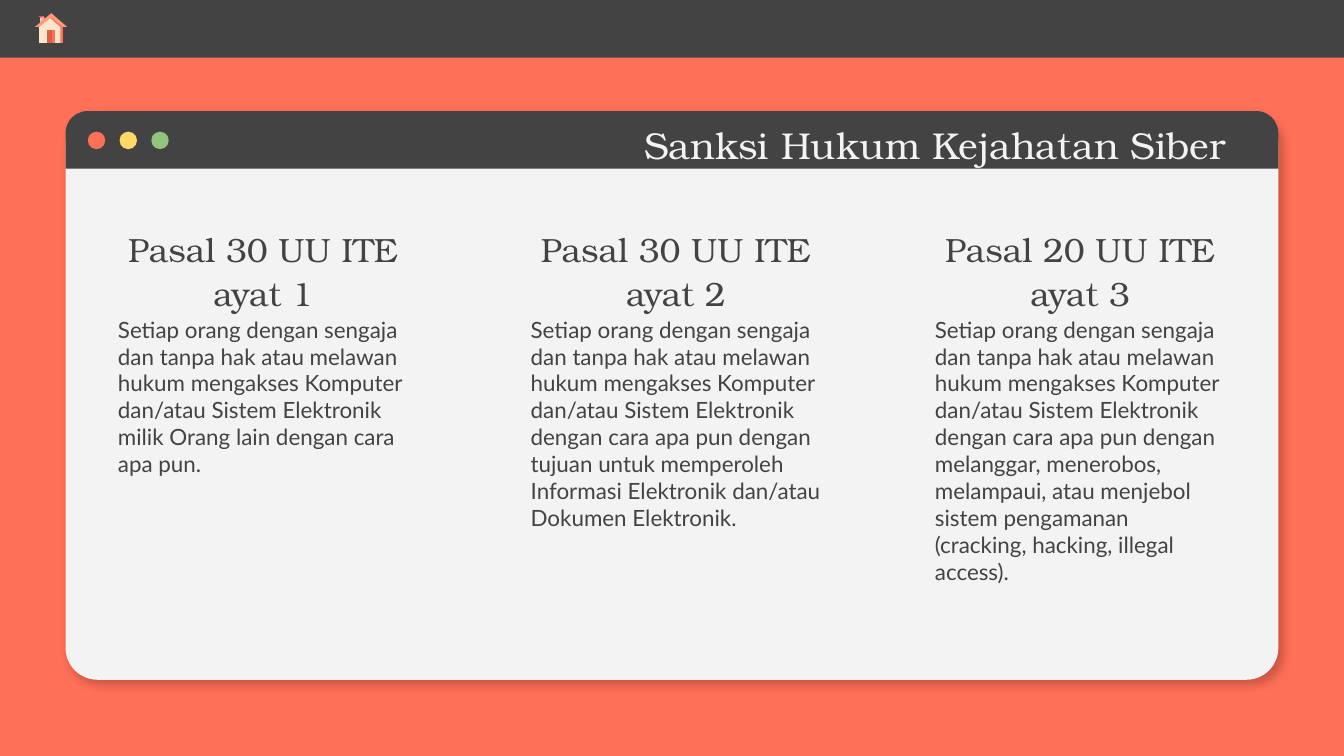
from lxml.etree import SubElement
from pptx import Presentation
from pptx.dml.color import RGBColor
from pptx.enum.shapes import MSO_SHAPE as Shape
from pptx.enum.text import MSO_ANCHOR as Anchor, PP_ALIGN as Align
from pptx.oxml.ns import qn
from pptx.util import Cm, Pt

CORAL, DARK, LIGHT = "FF7058", "434343", "F3F3F3"
SERIF, SANS = "TeX Gyre Bonum", "Lato"
WIDTH, HEIGHT = 25.4, 14.29

TITLE = "Sanksi Hukum Kejahatan Siber"
OPENING = ("Setiap orang dengan sengaja dan tanpa hak atau melawan hukum "
           "mengakses Komputer dan/atau Sistem Elektronik ")
# left, body height, space after body, heading, rest of body
COLUMNS = [
    (1.98, 6.32, 16, "Pasal 30 UU ITE ayat 1",
     "milik Orang lain dengan cara apa pun."),
    (9.78, 2.16, 16, "Pasal 30 UU ITE ayat 2",
     "dengan cara apa pun dengan tujuan untuk memperoleh Informasi "
     "Elektronik dan/atau Dokumen Elektronik."),
    (17.42, 2.16, 3, "Pasal 20 UU ITE ayat 3",
     "dengan cara apa pun dengan melanggar, menerobos, melampaui, atau "
     "menjebol sistem pengamanan (cracking, hacking, illegal access)."),
]
COLUMN_WIDTH, HEADING_TOP, BODY_TOP = 5.99, 4.55, 5.72

WINDOW_LEFT, WINDOW_TOP, WINDOW_WIDTH = 1.24, 2.1, 22.92
DOT_COLORS = [CORAL, "FFD966", "93C47D"]
DOT_LEFT, DOT_TOP, DOT_SIZE, DOT_STEP = 1.66, 2.49, 0.33, 0.6


def box(left, top, right, bottom):
    return [(left, top), (right, top), (right, bottom), (left, bottom)]


# Home icon outlines, in hundredths of a centimetre
HOME_ICON = [
    ("F6C5BE", [(76, 33), (76, 43), (84, 36), (84, 33)]),
    ("F9ABA0", [(79, 33), (79, 41), (84, 36), (84, 33)]),
    ("FCE5CD", [(97, 30), (74, 51), (74, 81), (119, 81), (119, 51)]),
    (CORAL, [(97, 30), (94, 33), (114, 51), (114, 81), (119, 81), (119, 51)]),
    ("E55A43", box(74, 30, 84, 33)),
    ("E55A43", box(89, 56, 104, 81)),
    (CORAL, box(99, 56, 104, 81)),
    ("FF9A75", [(97, 25), (66, 51), (74, 51), (97, 33), (119, 51), (127, 51)]),
    (CORAL, box(81, 30, 84, 33)),
]


def paint(shape, color):
    shape.shadow.inherit = False
    shape.fill.solid()
    shape.fill.fore_color.rgb = RGBColor.from_string(color)
    shape.line.fill.background()


def add_shape(shapes, kind, color, left, top, width, height, corners=()):
    shape = shapes.add_shape(kind, Cm(left), Cm(top), Cm(width), Cm(height))
    paint(shape, color)
    for index, corner in enumerate(corners):
        shape.adjustments[index] = corner
    return shape


def add_drop_shadow(shape, color):
    effects = shape.element.spPr.find(qn("a:effectLst"))
    shadow = SubElement(effects, qn("a:outerShdw"), blurRad=str(Pt(4.5)),
                        dist=str(Pt(3.8)), dir=str(49 * 60000),
                        algn="bl", rotWithShape="0")
    tint = SubElement(shadow, qn("a:srgbClr"), val=color)
    SubElement(tint, qn("a:alpha"), val="47000")


def add_text(shapes, text, left, top, width, height, font, size, color,
             align=Align.LEFT, anchor=Anchor.TOP, line_spacing=1.0,
             space_after=0, bottom_inset=0.25):
    frame = shapes.add_textbox(Cm(left), Cm(top), Cm(width), Cm(height)).text_frame
    frame.word_wrap = True
    frame.vertical_anchor = anchor
    frame.margin_left = frame.margin_right = frame.margin_top = Cm(0.25)
    frame.margin_bottom = Cm(bottom_inset)
    frame.text = text
    paragraph = frame.paragraphs[0]
    paragraph.alignment = align
    paragraph.line_spacing = line_spacing
    paragraph.space_after = Pt(space_after)
    run_font = paragraph.runs[0].font
    run_font.name, run_font.size = font, Pt(size)
    run_font.color.rgb = RGBColor.from_string(color)


def add_window(shapes):
    group = shapes.add_group_shape().shapes
    panel = add_shape(group, Shape.ROUNDED_RECTANGLE, LIGHT, WINDOW_LEFT,
                      WINDOW_TOP, WINDOW_WIDTH, 10.75, [0.056])
    add_drop_shadow(panel, "963A2A")
    add_shape(group, Shape.ROUND_2_SAME_RECTANGLE, DARK, WINDOW_LEFT,
              WINDOW_TOP, WINDOW_WIDTH, 1.09, [0.383, 0])
    for index, color in enumerate(DOT_COLORS):
        add_shape(group, Shape.OVAL, color, DOT_LEFT + index * DOT_STEP,
                  DOT_TOP, DOT_SIZE, DOT_SIZE)


def add_home_icon(shapes):
    group = shapes.add_group_shape().shapes
    for color, points in HOME_ICON:
        builder = group.build_freeform(*points[0], scale=Cm(0.01))
        builder.add_line_segments(points[1:], close=True)
        paint(builder.convert_to_shape(), color)


def main():
    presentation = Presentation()
    presentation.slide_width, presentation.slide_height = Cm(WIDTH), Cm(HEIGHT)
    slide = presentation.slides.add_slide(presentation.slide_layouts[6])
    slide.background.fill.solid()
    slide.background.fill.fore_color.rgb = RGBColor.from_string(CORAL)
    shapes = slide.shapes

    add_window(shapes)
    add_text(shapes, TITLE, 3.56, 2.24, 19.86, 0.89, SERIF, 20, LIGHT,
             Align.RIGHT, Anchor.MIDDLE, line_spacing=1.1)
    for left, body_height, space_after, heading, rest in COLUMNS:
        add_text(shapes, OPENING + rest, left, BODY_TOP, COLUMN_WIDTH,
                 body_height, SANS, 12, DARK, space_after=space_after)
        add_text(shapes, heading, left, HEADING_TOP, COLUMN_WIDTH, 1.37,
                 SERIF, 18, DARK, Align.CENTER, Anchor.BOTTOM,
                 line_spacing=1.1, space_after=16, bottom_inset=0)
    add_shape(shapes, Shape.RECTANGLE, DARK, 0, 0, WIDTH, 1.09)
    add_home_icon(shapes)
    presentation.save("out.pptx")


if __name__ == "__main__":
    main()
